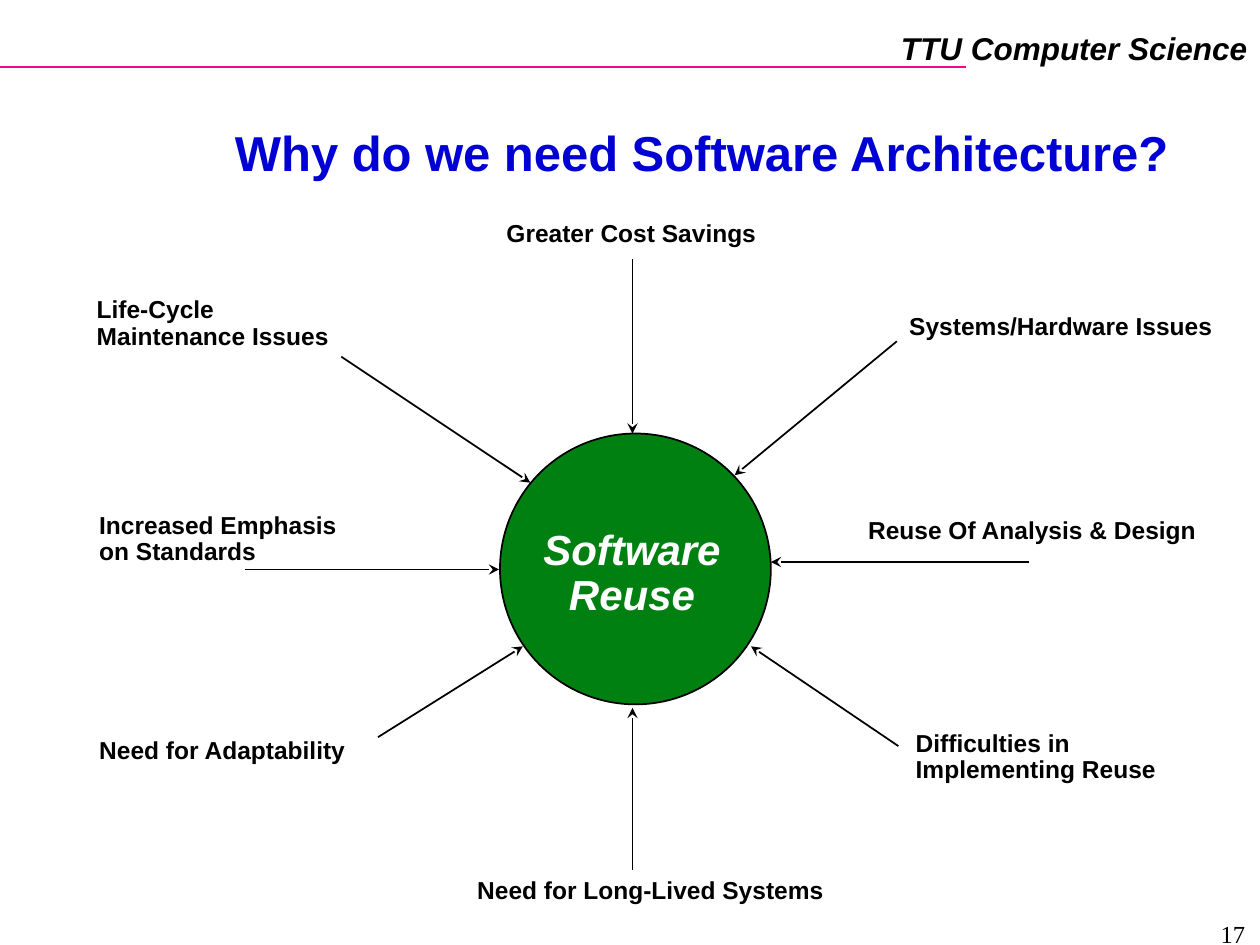
"""Build the slide on the forces that lead to software reuse."""
from dataclasses import dataclass

import pptx
import pptx.dml.color
import pptx.enum.shapes
import pptx.enum.text
import pptx.oxml.ns
import pptx.slide
import pptx.util
from lxml import etree

Cm = pptx.util.Cm
RGBColor = pptx.dml.color.RGBColor
ALIGN = pptx.enum.text.PP_ALIGN
ANCHOR = pptx.enum.text.MSO_ANCHOR
AUTO_SIZE = pptx.enum.text.MSO_AUTO_SIZE
SHAPE = pptx.enum.shapes.MSO_SHAPE
STRAIGHT = pptx.enum.shapes.MSO_CONNECTOR.STRAIGHT
qn = pptx.oxml.ns.qn

BLACK = RGBColor(0x00, 0x00, 0x00)
WHITE = RGBColor(0xFF, 0xFF, 0xFF)
BLUE = RGBColor(0x00, 0x00, 0xD4)
GREEN = RGBColor(0x00, 0x80, 0x11)
PINK = RGBColor(0xF2, 0x08, 0x84)


@dataclass(frozen=True)
class TextItem:
    text: str
    left: float
    top: float
    width: float
    height: float
    size: int = 14
    color: RGBColor = BLACK
    font: str = "Arial"
    bold: bool = True
    italic: bool = False
    align: ALIGN = ALIGN.LEFT
    spacing: float = 0.9
    wrap: bool = False
    anchor: ANCHOR = ANCHOR.TOP
    auto_size: AUTO_SIZE = AUTO_SIZE.SHAPE_TO_FIT_TEXT
    margin_x: float = 0.25
    margin_y: float = 0.13


@dataclass(frozen=True)
class Line:
    x1: float
    y1: float
    x2: float
    y2: float
    color: RGBColor = BLACK
    arrow: bool = True


ONE_LINE, TWO_LINES = 0.79, 1.32
HEADER = TextItem("TTU Computer Science", 17.91, 0.46, 7.49, 1.02, size=18,
                  italic=True, align=ALIGN.RIGHT, spacing=1.0)
HEADER_RULE = Line(0, 1.35, 19.48, 1.35, PINK, arrow=False)
TITLE = TextItem("Why do we need Software Architecture?", 4.52, 2.57, 19.25, 1.17,
                 size=28, color=BLUE, align=ALIGN.CENTER, spacing=0.87, wrap=True,
                 anchor=ANCHOR.MIDDLE, margin_x=0.18, margin_y=0.08)
HUB = TextItem("Software Reuse", 9.78, 10.54, 5.92, 2.08, size=24, color=WHITE,
               italic=True, align=ALIGN.CENTER, wrap=True)
PAGE_NUMBER = TextItem("17", 19.43, 18.39, 5.92, 0.56, font="Times New Roman",
                       bold=False, align=ALIGN.RIGHT, spacing=1.0, wrap=True,
                       auto_size=AUTO_SIZE.NONE)
LABELS = [
    TextItem("Life-Cycle\nMaintenance Issues", 1.7, 5.87, 5.18, TWO_LINES),
    TextItem("Greater Cost Savings", 9.96, 4.34, 5.56, ONE_LINE),
    TextItem("Systems/Hardware Issues", 18.08, 6.2, 6.63, ONE_LINE),
    TextItem("Reuse Of Analysis & Design", 17.25, 10.31, 7.14, ONE_LINE),
    TextItem("Difficulties in\nImplementing Reuse", 18.21, 14.61, 5.36, TWO_LINES),
    TextItem("Need for Long-Lived Systems", 9.37, 17.58, 7.49, ONE_LINE),
    TextItem("Increased Emphasis\non Standards", 1.75, 10.21, 5.31, TWO_LINES),
    TextItem("Need for Adaptability", 1.75, 14.76, 5.49, ONE_LINE),
]
ARROWS = [
    Line(6.88, 7.19, 10.69, 9.73),
    Line(4.93, 11.48, 10.06, 11.48),
    Line(7.62, 14.86, 10.54, 13.03),
    Line(12.75, 17.53, 12.75, 14.27),
    Line(18.11, 15.04, 15.14, 13.03),
    Line(20.75, 11.33, 15.54, 11.33),
    Line(18.08, 6.88, 14.81, 9.58),
    Line(12.75, 5.23, 12.75, 8.74),
]


def add_text(s: pptx.slide.Slide, item: TextItem) -> None:
    sp = s.shapes.add_textbox(Cm(item.left), Cm(item.top), Cm(item.width), Cm(item.height))
    tf = sp.text_frame
    tf.text = item.text
    tf.word_wrap = item.wrap
    tf.auto_size = item.auto_size
    tf.vertical_anchor = item.anchor
    tf.margin_left = tf.margin_right = Cm(item.margin_x)
    tf.margin_top = tf.margin_bottom = Cm(item.margin_y)
    for p in tf.paragraphs:
        p.alignment = item.align
        p.line_spacing = item.spacing
        for r in p.runs:
            r.font.name = item.font
            r.font.size = pptx.util.Pt(item.size)
            r.font.bold = item.bold
            r.font.italic = item.italic
            r.font.color.rgb = item.color


def add_line(s: pptx.slide.Slide, line: Line) -> None:
    sp = s.shapes.add_connector(STRAIGHT, Cm(line.x1), Cm(line.y1), Cm(line.x2), Cm(line.y2))
    sp.line.color.rgb = line.color
    sp.line.width = pptx.util.Pt(1)
    if line.arrow:
        etree.SubElement(sp.line._get_or_add_ln(), qn("a:tailEnd"), type="stealth")
    etree.SubElement(sp._element.spPr, qn("a:effectLst"))


def add_circle(s: pptx.slide.Slide, left: float, top: float, diameter: float) -> None:
    sp = s.shapes.add_shape(SHAPE.OVAL, Cm(left), Cm(top), Cm(diameter), Cm(diameter))
    sp.shadow.inherit = False
    sp.fill.solid()
    sp.fill.fore_color.rgb = GREEN
    sp.line.color.rgb = BLACK
    sp.line.width = pptx.util.Pt(1)


def main() -> None:
    prs = pptx.Presentation()
    prs.slide_width, prs.slide_height = Cm(25.4), Cm(19.05)
    s = prs.slides.add_slide(prs.slide_layouts[6])
    add_line(s, HEADER_RULE)
    add_text(s, HEADER)
    add_text(s, TITLE)
    add_circle(s, 10.08, 8.74, 5.46)
    for item in [HUB, *LABELS]:
        add_text(s, item)
    for arrow in ARROWS:
        add_line(s, arrow)
    add_text(s, PAGE_NUMBER)
    prs.save("out.pptx")


if __name__ == "__main__":
    main()
